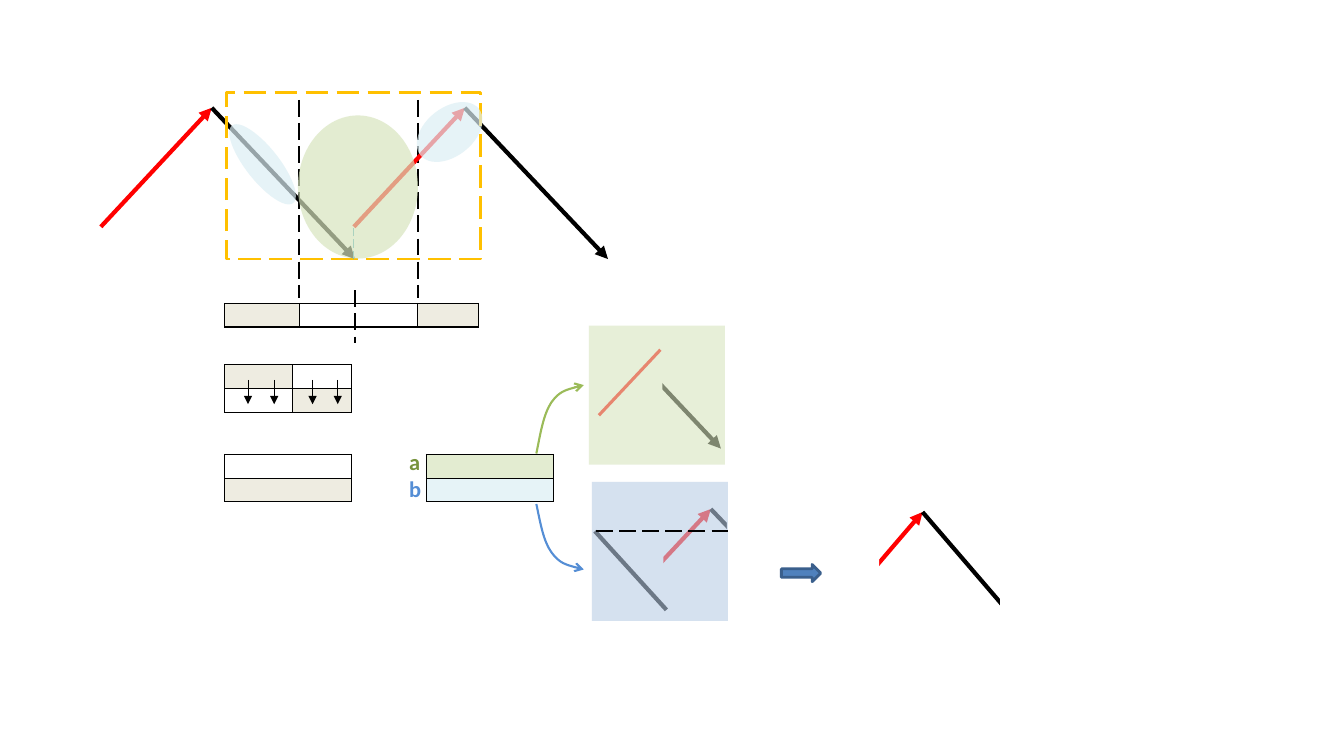
from lxml.etree import SubElement
from pptx import Presentation
from pptx.dml.color import RGBColor
from pptx.enum.dml import MSO_LINE
from pptx.enum.shapes import MSO_CONNECTOR, MSO_SHAPE
from pptx.oxml.ns import qn
from pptx.util import Inches, Pt

COLORS = {
    "red": "FF0000", "black": "000000", "white": "FFFFFF", "beige": "EEECE1",
    "gold": "FFC000", "teal": "46AAC5", "blue": "558ED5", "arrow": "4F81BD",
    "arrow edge": "3A5F8C", "panel blue": "B9CDE5", "green": "9BBB59",
    "label green": "77933C", "pale green": "D7E4BD", "pale blue": "DBEEF4",
    "row green": "E3ECD1", "row blue": "E6F3F7",
}
RGB = {name: RGBColor.from_string(value) for name, value in COLORS.items()}
GRID = Inches(0.1)

deck = Presentation()
deck.slide_width, deck.slide_height = Inches(13.33), Inches(7.5)
page = deck.slides.add_slide(deck.slide_layouts[6])
shapes = page.shapes


def draw_line(start, end, color="black", width=3, head=False, dashed=False):
    ends = [int(cells * GRID) for cells in (*start, *end)]
    line = shapes.add_connector(MSO_CONNECTOR.STRAIGHT, *ends)
    line.line.color.rgb = RGB[color]
    line.line.width = Pt(width)
    if dashed:
        line.line.dash_style = MSO_LINE.LONG_DASH
    if head:
        SubElement(line.line._get_or_add_ln(), qn("a:tailEnd"), type="triangle")
    SubElement(line._element.spPr, qn("a:effectLst"))
    return line


def draw_box(place, fill=None, opacity=100, edge=None, kind=MSO_SHAPE.RECTANGLE, turn=0):
    box = shapes.add_shape(kind, *[int(cells * GRID) for cells in place])
    box.shadow.inherit = False
    box.rotation = turn
    if fill:
        box.fill.solid()
        box.fill.fore_color.rgb = RGB[fill]
        if opacity < 100:
            color = box._element.spPr.find(qn("a:solidFill"))[0]
            SubElement(color, qn("a:alpha"), val=str(opacity * 1000))
    else:
        box.fill.background()
    if edge:
        box.line.color.rgb = RGB[edge]
        box.line.width = Pt(2)
    else:
        box.line.fill.background()
    return box


zigzag_stages = [
    ([(81.4, 62.6), (91.5, 50.8), (104.3, 65.7)],
     [(57.6, 48.2, 29.6, 19.7), (99.2, 46.8, 6.5, 19.7)]),
    ([(59.5, 62.3), (70.5, 50.5), (84.7, 65.4)],
     [(33.4, 47.9, 13.5, 19.7), (72.1, 46.5, 12.7, 19.7), (54, 47.4, 11.8, 19.7)]),
]
for (start, peak, end), masks in zigzag_stages:
    draw_line(start, peak, "red", head=True)
    draw_line(peak, end, head=True)
    for mask in masks:
        draw_box(mask, "white")
draw_line((59, 52.7), (66.1, 60.5))

draw_line((57.4, 29.5), (71.5, 44.5), head=True)
for mask_left, mask_top in [(44.7, 26.8), (77.8, 27.2)]:
    draw_box((mask_left, mask_top, 21, 19.7), "white")

tables = [
    (22.3, 45.1, [12.6], [["white"], ["beige"]]),
    (22.3, 30.1, [7.4, 11.7, 6.1], [["beige", "white", "beige"]]),
    (42.3, 45.1, [12.6], [["row green"], ["row blue"]]),
    (22.3, 36.2, [6.7, 5.9], [["beige", "white"], ["white", "beige"]]),
]
row_height = 2.35
for left, top, widths, rows in tables:
    place = (left, top, sum(widths), row_height * len(rows))
    frame = shapes.add_table(len(rows), len(widths), *[int(cells * GRID) for cells in place])
    table = frame.table
    for column, width in zip(table.columns, widths):
        column.width = int(width * GRID)
    for row_index, fills in enumerate(rows):
        table.rows[row_index].height = int(row_height * GRID)
        for column_index, fill in enumerate(fills):
            cell = table.cell(row_index, column_index)
            cell.margin_top = cell.margin_bottom = 0
            SubElement(cell.text_frame.paragraphs[0]._p, qn("a:endParaRPr"), sz="800")
            for side in ("lnL", "lnR", "lnT", "lnB"):
                border = SubElement(cell._tc.get_or_add_tcPr(), qn(f"a:{side}"), w=str(Pt(1)))
                paint = SubElement(border, qn("a:solidFill"))
                SubElement(paint, qn("a:srgbClr"), val=COLORS["black"])
            cell.fill.solid()
            cell.fill.fore_color.rgb = RGB[fill]

for x, top, bottom in [(35.2, 28.8, 34), (41.5, 9.9, 29.6), (29.7, 9.9, 29.6)]:
    draw_line((x, top), (x, bottom), width=1.5, dashed=True)

label_place = (39.6, 44, 6.3, 6.4)
labels = shapes.add_textbox(*[int(cells * GRID) for cells in label_place]).text_frame
labels.word_wrap = True
for index, (letter, color) in enumerate([("a", "label green"), ("b", "blue")]):
    para = labels.add_paragraph() if index else labels.paragraphs[0]
    span = para.add_run()
    span.text = letter
    span.font.name = "Calibri"
    span.font.size = Pt(16)
    span.font.bold = True
    span.font.color.rgb = RGB[color]

period = 25.1
for shift in (0, period):
    peak = (21 + shift, 10.7)
    draw_line((10 + shift, 22.5), peak, "red", head=True)
    draw_line(peak, (35.2 + shift, 25.7), head=True)
period_frame = draw_box((22.5, 9.2, 25.2, 16.5), edge="gold")
period_frame.line.dash_style = MSO_LINE.LONG_DASH
drop = draw_line((35.1, 25.7), (35.1, 22.5), "teal", 0.75, dashed=True)
drop.begin_connect(period_frame, 2)

ellipses = [
    ((28.4, 12.6, 14.2, 11.9), "pale green", 270),
    ((24.4, 11.4, 3.3, 9.8), "pale blue", 321.7),
    ((40.9, 10.7, 7.4, 4.8), "pale blue", 321.7),
]
for place, fill, turn in ellipses:
    draw_box(place, fill, 69, kind=MSO_SHAPE.OVAL, turn=turn)

curves = [
    ("green", [(53.2, 45), (53.6, 43), (53.9, 41.1), (54.7, 39.9),
               (55.5, 38.8), (56.7, 38.5), (57.9, 38.2)]),
    ("blue", [(53.2, 50), (53.6, 51.9), (53.9, 53.7), (54.7, 54.8),
              (55.5, 55.9), (56.7, 56.2), (57.9, 56.5)]),
]
for color, points in curves:
    points = [(int(x * GRID), int(y * GRID)) for x, y in points]
    builder = shapes.build_freeform(*points[0])
    builder.add_line_segments(points[1:], close=False)
    curve = builder.convert_to_shape()
    segments = list(curve._element.iter(qn("a:lnTo")))
    for index in range(0, len(segments), 3):
        bend = segments[index]
        bend.tag = qn("a:cubicBezTo")
        for segment in segments[index + 1:index + 3]:
            bend.append(segment[0])
            segment.getparent().remove(segment)
    curve.shadow.inherit = False
    curve.fill.background()
    curve.line.color.rgb = RGB[color]
    curve.line.width = Pt(1.5)
    SubElement(curve.line._get_or_add_ln(), qn("a:tailEnd"), type="arrow")

draw_box((78.6, 54.9, 1.7, 3.9), "arrow", edge="arrow edge", kind=MSO_SHAPE.DOWN_ARROW, turn=270)
draw_box((58.7, 47.8, 13.5, 13.8), "panel blue", 59)
for x in (24.6, 27.2, 31, 33.5):
    draw_line((x, 37.7), (x, 40.1), width=0.75, head=True)
draw_line((59.4, 41.2), (65.5, 34.7), "red", 2.25)
draw_line((59.1, 52.7), (72.4, 52.7), width=1.5, dashed=True)
draw_box((58.4, 32.3, 13.5, 13.8), "pale green", 59)

deck.save("out.pptx")
